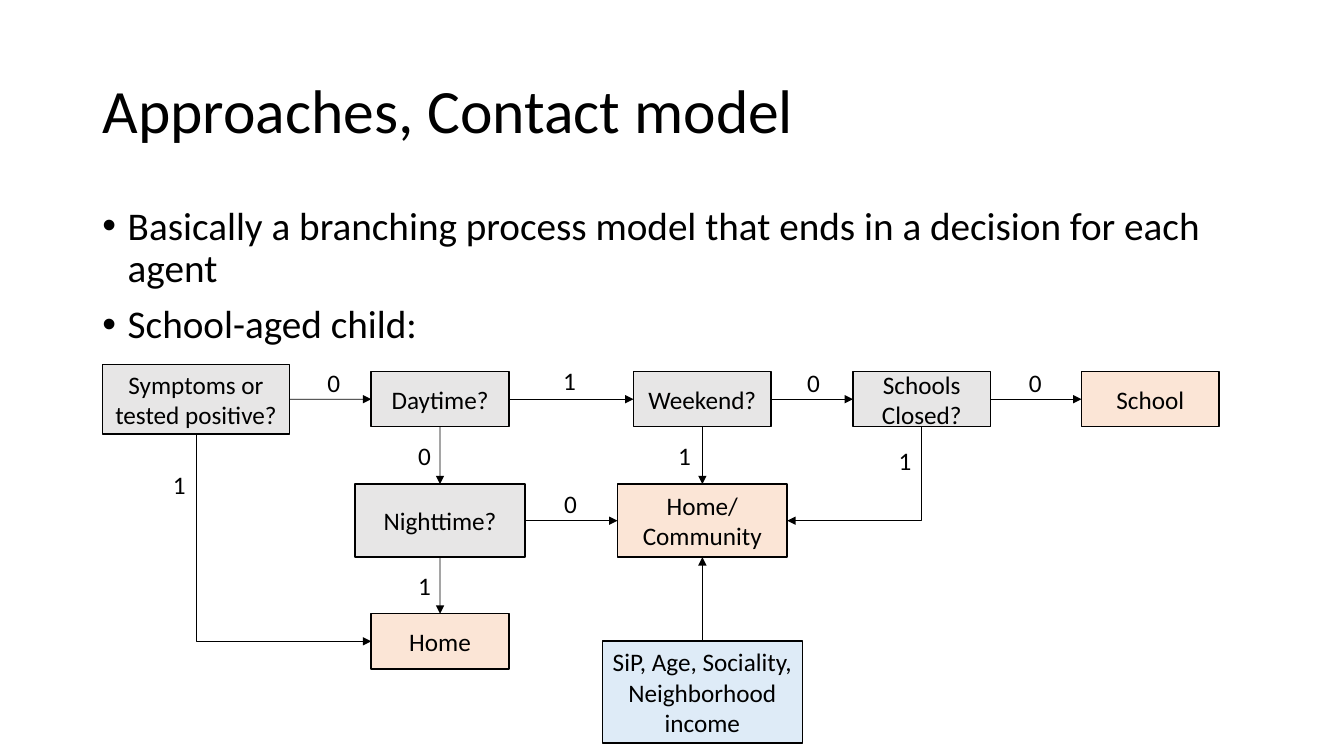
"""Builds the contact model slide with its branching decision flowchart."""
from lxml.etree import SubElement
from pptx import Presentation
from pptx.dml.color import RGBColor
from pptx.enum.shapes import MSO_CONNECTOR as Connector, MSO_SHAPE as Shape
from pptx.enum.text import MSO_ANCHOR as Anchor, MSO_AUTO_SIZE as AutoSize, PP_ALIGN as Align
from pptx.oxml.ns import qn
from pptx.util import Cm, Pt


def color(value):
    return RGBColor.from_string(value)


def write(frame, lines, size, align=Align.LEFT, spacing=None):
    for index, line in enumerate(lines):
        para = frame.add_paragraph() if index else frame.paragraphs[0]
        para.alignment = align
        para.line_spacing = spacing
        span = para.add_run()
        span.text = line
        span.font.size = Pt(size)
        span.font.name = "Calibri"
        span.font.color.rgb = color("000000")


BLACK, GRAY, PEACH, BLUE = "000000", "E7E6E6", "FBE5D6", "DEEBF7"
TOP, LEFT, BOTTOM, RIGHT = range(4)
SMALL, MEDIUM, WIDE, NOTE = (3.47, 1.39), (4.28, 1.84), (4.7, 1.76), (5.04, 2.57)
COLUMNS = [4.94, 11.09, 17.7, 23.23, 28.99]
ROWS = [10.06, 13.12, 16.16, 17.44]

deck = Presentation()
deck.slide_width, deck.slide_height = Cm(33.87), Cm(19.05)
page = deck.slides.add_slide(deck.slide_layouts[5])

title = page.shapes.title
title.left, title.top, title.width, title.height = Cm(2.33), Cm(1.01), Cm(29.21), Cm(3.68)
title.text_frame.auto_size = AutoSize.NONE
title.text_frame.vertical_anchor = Anchor.MIDDLE
write(title.text_frame, ["Approaches, Contact model"], 44, spacing=0.9)

body = page.shapes.add_textbox(Cm(2.33), Cm(5.07), Cm(29.21), Cm(3.99))
body.text_frame.word_wrap = True
write(body.text_frame, [
    "Basically a branching process model that ends in a decision for each agent",
    "School-aged child:",
], 28, spacing=0.9)
for para in body.text_frame.paragraphs:
    para.space_before = Pt(10)
    properties = para._p.get_or_add_pPr()
    properties.set("marL", str(Cm(0.64)))
    properties.set("indent", str(Cm(-0.64)))
    SubElement(properties, qn("a:buFont"), typeface="Arial")
    SubElement(properties, qn("a:buChar"), char="•")

nodes = [
    ("symptoms", 0, 0, WIDE, GRAY, ["Symptoms or tested positive?"]),
    ("daytime", 1, 0, SMALL, GRAY, ["Daytime?"]),
    ("weekend", 2, 0, SMALL, GRAY, ["Weekend?"]),
    ("closed", 3, 0, SMALL, GRAY, ["Schools Closed?"]),
    ("school", 4, 0, SMALL, PEACH, ["School"]),
    ("nighttime", 1, 1, MEDIUM, GRAY, ["Nighttime?"]),
    ("community", 2, 1, MEDIUM, PEACH, ["Home/", "Community"]),
    ("home", 1, 2, SMALL, PEACH, ["Home"]),
    ("factors", 2, 3, NOTE, BLUE, ["SiP, Age, Sociality, Neighborhood income"]),
]
boxes = {}
for name, column, row, (width, height), fill, lines in nodes:
    box = page.shapes.add_shape(Shape.RECTANGLE, Cm(COLUMNS[column] - width / 2),
                                Cm(ROWS[row] - height / 2), Cm(width), Cm(height))
    box.shadow.inherit = False
    box.fill.solid()
    box.fill.fore_color.rgb = color(fill)
    box.line.color.rgb = color(BLACK)
    box.line.width = Pt(1)
    box.text_frame.word_wrap = True
    box.text_frame.vertical_anchor = Anchor.MIDDLE
    write(box.text_frame, lines, 18, Align.CENTER)
    boxes[name] = box

arrows = [
    ("symptoms", RIGHT, "daytime", LEFT),
    ("daytime", RIGHT, "weekend", LEFT),
    ("weekend", RIGHT, "closed", LEFT),
    ("closed", RIGHT, "school", LEFT),
    ("daytime", BOTTOM, "nighttime", TOP),
    ("nighttime", BOTTOM, "home", TOP),
    ("nighttime", RIGHT, "community", LEFT),
    ("weekend", BOTTOM, "community", TOP),
    ("factors", TOP, "community", BOTTOM),
    ("symptoms", BOTTOM, "home", LEFT),
    ("closed", BOTTOM, "community", RIGHT),
]
for source, start, target, end in arrows:
    bent = start == BOTTOM and end != TOP
    arrow = page.shapes.add_connector(Connector.ELBOW if bent else Connector.STRAIGHT, 0, 0, 0, 0)
    arrow.begin_connect(boxes[source], start)
    arrow.end_connect(boxes[target], end)
    arrow.line.color.rgb = color(BLACK)
    arrow.line.width = Pt(0.5)
    SubElement(arrow.line._get_or_add_ln(), qn("a:tailEnd"), type="triangle")
    drawing = arrow._element.spPr
    SubElement(drawing, qn("a:effectLst"))
    if bent:
        rightward = arrow.end_x > arrow.begin_x
        across, down = arrow.width, arrow.height
        arrow.left += (across - down) // 2
        arrow.top += (down - across) // 2
        arrow.width, arrow.height = down, across
        drawing.find(qn("a:prstGeom")).set("prst", "bentConnector2")
        frame = drawing.find(qn("a:xfrm"))
        frame.set("rot", str((270 if rightward else 90) * 60000))
        frame.set("flipH", "1" if rightward else "0")

labels = [
    ("0", 8, 9.12), ("1", 13.94, 9.07), ("0", 20.09, 9.12), ("0", 25.68, 9.12),
    ("0", 10.29, 10.97), ("1", 16.84, 10.97), ("1", 22.4, 11.1), ("1", 4.11, 11.71),
    ("0", 13.97, 12.19), ("1", 10.29, 14.25),
]
for text, left, top in labels:
    label = page.shapes.add_textbox(Cm(left), Cm(top), Cm(0.84), Cm(1.02))
    label.text_frame.word_wrap = False
    label.text_frame.auto_size = AutoSize.SHAPE_TO_FIT_TEXT
    write(label.text_frame, [text], 18)

deck.save("out.pptx")
